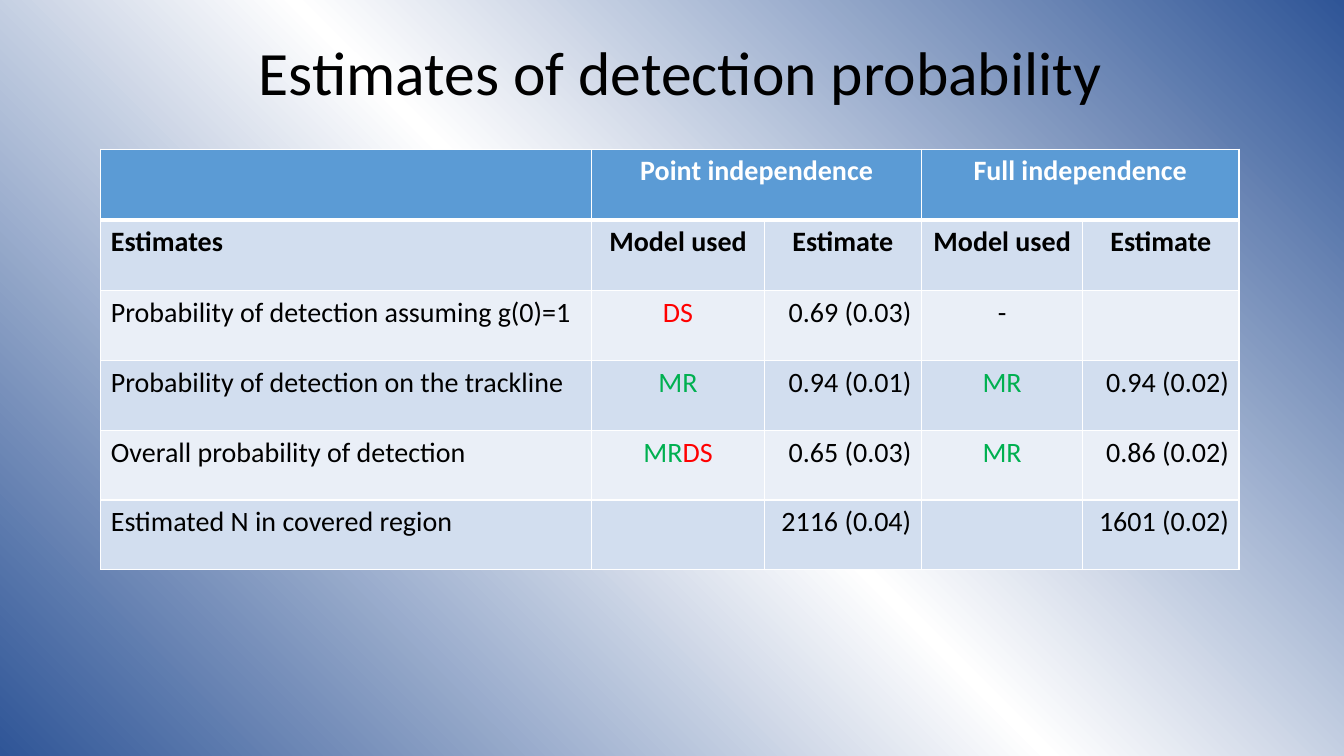
from pptx import Presentation
from pptx.dml.color import RGBColor
from pptx.enum.text import MSO_ANCHOR as ANCHOR, PP_ALIGN as ALIGN
from pptx.oxml import parse_xml
from pptx.oxml.ns import nsdecls
from pptx.util import Inches, Pt

FONT = "Calibri"
BLACK, WHITE = "000000", "FFFFFF"
HEADER, BAND_DARK, BAND_LIGHT = "5B9BD5", "D2DEEF", "EAEFF7"
MODEL_COLORS = {"MR": "00B050", "DS": "FF0000"}
BACKGROUND_STOPS = [(0, "4472C4"), (0, "2F5597"), (50, WHITE), (100, "2F5597")]

COLUMN_WIDTHS = [4.87, 1.71, 1.56, 1.6, 1.55]
ROW_HEIGHTS = [0.7, 0.7, 0.7, 0.69, 0.69, 0.69]
COLUMN_ALIGNS = [ALIGN.LEFT, ALIGN.CENTER, ALIGN.RIGHT, ALIGN.CENTER, ALIGN.RIGHT]
ROWS = [
    ["", "Point independence", "", "Full independence", ""],
    ["Estimates", "Model used", "Estimate", "Model used", "Estimate"],
    ["Probability of detection assuming g(0)=1", "DS", "0.69 (0.03)", "-", ""],
    ["Probability of detection on the trackline", "MR", "0.94 (0.01)", "MR", "0.94 (0.02)"],
    ["Overall probability of detection", ("MR", "DS"), "0.65 (0.03)", "MR", "0.86 (0.02)"],
    ["Estimated N in covered region", "", "2116 (0.04)", "", "1601 (0.02)"],
]


def rgb(color):
    return RGBColor.from_string(color)


def write(tf, text, size=20, color=BLACK, bold=False, align=ALIGN.LEFT, spacing=None):
    p = tf.paragraphs[0]
    p.alignment = align
    p.line_spacing = spacing
    p.font.size = Pt(size)
    for part in text if isinstance(text, tuple) else (text,):
        if part:
            r = p.add_run()
            r.text = part
            r.font.name = FONT
            r.font.size = Pt(size)
            r.font.bold = bold
            r.font.color.rgb = rgb(MODEL_COLORS.get(part, color))


def add_background(s):
    stops = "".join(
        f'<a:gs pos="{pos * 1000}"><a:srgbClr val="{color}"/></a:gs>'
        for pos, color in BACKGROUND_STOPS
    )
    bg = parse_xml(
        f'<p:bg {nsdecls("p", "a")}><p:bgPr><a:gradFill rotWithShape="1">'
        f'<a:gsLst>{stops}</a:gsLst><a:lin ang="{315 * 60000}" scaled="0"/>'
        "</a:gradFill><a:effectLst/></p:bgPr></p:bg>"
    )
    s._element.cSld.insert(0, bg)


def add_title(s, text, left, top, width, height):
    box = s.shapes.add_textbox(Inches(left), Inches(top), Inches(width), Inches(height))
    tf = box.text_frame
    tf.word_wrap = True
    tf.vertical_anchor = ANCHOR.MIDDLE
    write(tf, text, size=44, align=ALIGN.CENTER, spacing=0.9)


def set_borders(cell, top=1, bottom=1):
    tc_pr = cell._tc.get_or_add_tcPr()
    widths = {"lnL": 1, "lnR": 1, "lnT": top, "lnB": bottom}
    for i, (side, width) in enumerate(widths.items()):
        tc_pr.insert(i, parse_xml(
            f'<a:{side} {nsdecls("a")} w="{Pt(width)}"><a:solidFill>'
            f'<a:srgbClr val="{WHITE}"/></a:solidFill></a:{side}>'
        ))


def add_estimates_table(s, left, top, width, height):
    frame = s.shapes.add_table(
        len(ROWS), len(COLUMN_WIDTHS),
        Inches(left), Inches(top), Inches(width), Inches(height),
    )
    table = frame.table
    for column, column_width in zip(table.columns, COLUMN_WIDTHS):
        column.width = Inches(column_width)
    for row, row_height in zip(table.rows, ROW_HEIGHTS):
        row.height = Inches(row_height)
    for first in (1, 3):
        table.cell(0, first).merge(table.cell(0, first + 1))
    for i, values in enumerate(ROWS):
        header = i == 0
        fill = HEADER if header else BAND_DARK if i % 2 else BAND_LIGHT
        for j, text in enumerate(values):
            cell = table.cell(i, j)
            cell.fill.solid()
            cell.fill.fore_color.rgb = rgb(fill)
            set_borders(cell, top=3 if i == 1 else 1, bottom=3 if header else 1)
            align = ALIGN.CENTER if i < 2 and j else COLUMN_ALIGNS[j]
            write(cell.text_frame, text, color=WHITE if header else BLACK,
                  bold=i < 2, align=align)


def main():
    prs = Presentation()
    prs.slide_width, prs.slide_height = Inches(13.33), Inches(7.5)
    s = prs.slides.add_slide(prs.slide_layouts[6])
    add_background(s)
    add_title(s, "Estimates of detection probability", 1, 0.19, 11.5, 1.12)
    add_estimates_table(s, 1, 1.48, sum(COLUMN_WIDTHS), sum(ROW_HEIGHTS))
    prs.save("out.pptx")


if __name__ == "__main__":
    main()
